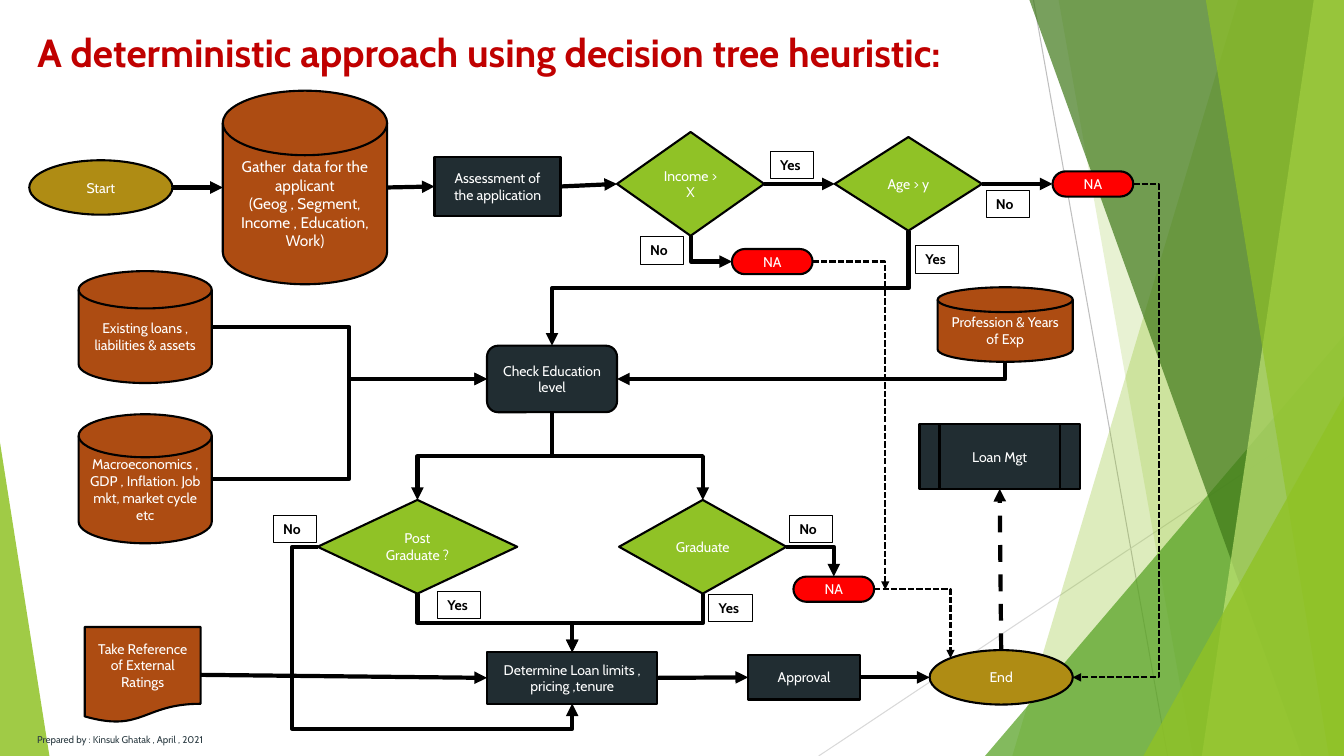
from lxml.etree import SubElement
from pptx import Presentation
from pptx.dml.color import RGBColor
from pptx.enum.dml import MSO_LINE
from pptx.enum.shapes import MSO_CONNECTOR, MSO_SHAPE
from pptx.enum.text import MSO_ANCHOR, MSO_AUTO_SIZE, PP_ALIGN
from pptx.oxml.ns import qn
from pptx.util import Inches, Pt

FONT = "Cabin"
BLACK = RGBColor(0x00, 0x00, 0x00)
WHITE = RGBColor(0xFF, 0xFF, 0xFF)
RED = RGBColor(0xFF, 0x00, 0x00)
CRIMSON = RGBColor(0xC0, 0x00, 0x00)
GOLD = RGBColor(0xAF, 0x8C, 0x14)
RUST = RGBColor(0xAD, 0x4C, 0x12)
SLATE = RGBColor(0x21, 0x2D, 0x32)
FOOTER = RGBColor(0x2C, 0x3C, 0x43)
GREEN = RGBColor(0x90, 0xC2, 0x26)
LEAF = RGBColor(0x54, 0xA0, 0x21)
FOREST = RGBColor(0x3F, 0x78, 0x19)
LIME = RGBColor(0xC0, 0xE4, 0x74)
GREY = RGBColor(0xBF, 0xBF, 0xBF)
PALE_GREY = RGBColor(0xD9, 0xD9, 0xD9)

# Connection site numbers by side: top, left, bottom, right, top left
SITES = {"t": 0, "l": 1, "b": 2, "r": 3}
DISK_SITES = {"t": 1, "l": 2, "b": 3, "r": 4}
ELLIPSE_SITES = {"t": 0, "tl": 1, "l": 2, "b": 4, "r": 6}
# Position of each side as a share of width and height
ANCHORS = {"t": (0.5, 0), "l": (0, 0.5), "b": (0.5, 1), "r": (1, 0.5), "tl": (0.146, 0.146)}


def set_text(shape, lines, size, color, bold=False, align=None):
    tf = shape.text_frame
    tf.word_wrap = True
    tf.text = lines
    for p in tf.paragraphs:
        p.alignment = align
        p.font.name = FONT
        p.font.size = Pt(size)
        p.font.bold = bold
        p.font.color.rgb = color
    return tf


def tint(shape, color, percent):
    shape.shadow.inherit = False
    shape.line.fill.background()
    shape.fill.solid()
    shape.fill.fore_color.rgb = color
    clr = shape._element.spPr.find(".//" + qn("a:srgbClr"))
    SubElement(clr, qn("a:alpha"), val=str(percent * 1000))


def add_facet(s, points, color, percent):
    first, *rest = [(Inches(x), Inches(y)) for x, y in points]
    builder = s.shapes.build_freeform(*first)
    builder.add_line_segments(rest, close=True)
    tint(builder.convert_to_shape(), color, percent)


def add_triangle(s, box, apex, color, percent):
    shape = s.shapes.add_shape(MSO_SHAPE.ISOSCELES_TRIANGLE, *map(Inches, box))
    shape.adjustments[0] = apex
    tint(shape, color, percent)


def add_line(s, begin, end, color, width, kind=MSO_CONNECTOR.STRAIGHT):
    line = s.shapes.add_connector(kind, *map(int, begin + end))
    line.line.color.rgb = color
    line.line.width = Pt(width)
    SubElement(line._element.spPr, qn("a:effectLst"))
    return line


def add_node(s, kind, box, text, fill, size=10):
    shape = s.shapes.add_shape(kind, *map(Inches, box))
    shape.shadow.inherit = False
    shape.fill.solid()
    shape.fill.fore_color.rgb = fill
    shape.line.color.rgb = BLACK
    shape.line.width = Pt(1.5)
    tf = set_text(shape, text, size, WHITE, align=PP_ALIGN.CENTER)
    tf.vertical_anchor = MSO_ANCHOR.MIDDLE
    return shape


def add_label(s, left, top, text):
    box = s.shapes.add_textbox(Inches(left), Inches(top), Inches(0.43), Inches(0.27))
    box.line.color.rgb = BLACK
    box.line.width = Pt(0.75)
    set_text(box, text, 10, BLACK, bold=True)


def side_point(shape, side):
    fx, fy = ANCHORS[side]
    return shape.left + fx * shape.width, shape.top + fy * shape.height


def glue(link, tag, shape, side):
    kind = shape.auto_shape_type
    sites = {MSO_SHAPE.FLOWCHART_MAGNETIC_DISK: DISK_SITES, MSO_SHAPE.OVAL: ELLIPSE_SITES}.get(kind, SITES)
    SubElement(link._element.nvCxnSpPr.cNvCxnSpPr, qn(tag), id=str(shape.shape_id), idx=str(sites[side]))


def add_link(s, source, side, target, target_side=None, bends=0, adj=(), width=3, dash=None):
    """Arrow between two nodes, or to a point when target_side is None."""
    begin = side_point(source, side)
    end = side_point(target, target_side) if target_side else target
    rotation = 0
    if bends and side == "b":
        # Elbows leaving downwards are horizontal elbows turned a quarter
        (x1, y1), (x2, y2) = begin, end
        cx, cy, dx, dy = (x1 + x2) / 2, (y1 + y2) / 2, x2 - x1, y2 - y1
        turn = 1 if dx < 0 else -1
        begin = cx - turn * dy / 2, cy + turn * dx / 2
        end = cx + turn * dy / 2, cy - turn * dx / 2
        rotation = 90 if turn == 1 else 270
    link = add_line(s, begin, end, BLACK, width, MSO_CONNECTOR.ELBOW if bends else MSO_CONNECTOR.STRAIGHT)
    spPr = link._element.spPr
    if rotation:
        spPr.find(qn("a:xfrm")).set("rot", str(rotation * 60000))
    if bends:
        geom = spPr.find(qn("a:prstGeom"))
        geom.set("prst", f"bentConnector{bends}")
        for i, value in enumerate(adj, 1):
            SubElement(geom.find(qn("a:avLst")), qn("a:gd"), name=f"adj{i}", fmla=f"val {int(value * 100000)}")
    if dash:
        link.line.dash_style = dash
    SubElement(spPr.find(qn("a:ln")), qn("a:tailEnd"), type="triangle")
    glue(link, "a:stCxn", source, side)
    if target_side:
        glue(link, "a:endCxn", target, target_side)


def add_backdrop(s):
    for x1, y1, x2, y2, color in [(10.25, 0, 11.58, 7.5, GREY), (13.33, 4.03, 8.12, 7.5, PALE_GREY)]:
        add_line(s, (Inches(x1), Inches(y1)), (Inches(x2), Inches(y2)), color, 0.75)
    facets = [(12.28, 10.04, GREEN, 30), (10.5, 11.83, GREEN, 20), (10.21, 12.91, FOREST, 70),
              (13.03, 11.92, LIME, 70), (11.96, 13.18, GREEN, 65)]
    for i, (top, bottom, color, percent) in enumerate(facets):
        if i == 2:
            add_triangle(s, (9.77, 3.33, 3.56, 4.17), 1, LEAF, 72)
        add_facet(s, [(top, 0), (13.33, 0), (13.33, 7.5), (bottom, 7.5)], color, percent)
    add_triangle(s, (11.34, 3.93, 1.99, 3.57), 1, GREEN, 80)
    add_triangle(s, (0, 4.39, 0.49, 3.11), 0, GREEN, 85)


def main():
    prs = Presentation()
    prs.slide_width, prs.slide_height = Inches(13.33), Inches(7.5)
    s = prs.slides.add_slide(prs.slide_layouts[5])
    add_backdrop(s)

    # Title
    title = s.shapes.title
    title.left, title.top, title.width, title.height = map(Inches, (0.27, 0.23, 11.5, 0.45))
    tf = set_text(title, "A deterministic approach using decision tree heuristic:", 28, CRIMSON, True, PP_ALIGN.LEFT)
    tf.vertical_anchor = MSO_ANCHOR.TOP
    tf.auto_size = MSO_AUTO_SIZE.NONE

    # Nodes
    m = MSO_SHAPE
    disk, diamond, pill = m.FLOWCHART_MAGNETIC_DISK, m.FLOWCHART_DECISION, m.FLOWCHART_TERMINATOR
    start = add_node(s, m.OVAL, (0.29, 1.59, 1.42, 0.54), "Start", GOLD)
    end = add_node(s, m.OVAL, (9.22, 6.45, 1.42, 0.54), "End", GOLD)
    gather = add_node(s, disk, (2.21, 0.9, 1.63, 1.92),
                      "Gather  data for the applicant\n(Geog , Segment, Income , Education, Work)", RUST, 11)
    loans = add_node(s, disk, (0.78, 2.69, 1.32, 1.11), "Existing loans , liabilities & assets", RUST)
    macro = add_node(s, disk, (0.78, 4.11, 1.32, 1.28),
                     "Macroeconomics , GDP , Inflation. Job mkt, market cycle etc", RUST)
    profession = add_node(s, disk, (9.3, 2.85, 1.34, 0.74), "Profession & Years of Exp", RUST)
    reference = add_node(s, m.FLOWCHART_DOCUMENT, (0.84, 6.22, 1.15, 0.95),
                         "Take Reference of External Ratings", RUST)
    income = add_node(s, diamond, (6.12, 1.31, 1.46, 1.03), "Income > X", GREEN)
    age = add_node(s, diamond, (8.28, 1.36, 1.46, 0.93), "Age > y", GREEN)
    graduate = add_node(s, diamond, (6.14, 4.96, 1.66, 0.93), "Graduate", GREEN)
    post = add_node(s, diamond, (3.15, 4.96, 1.98, 0.93), "Post Graduate ?", GREEN)
    assess = add_node(s, m.RECTANGLE, (4.31, 1.56, 1.25, 0.58), "Assessment of the application", SLATE)
    check = add_node(s, m.ROUNDED_RECTANGLE, (4.83, 3.43, 1.29, 0.66), "Check Education level", SLATE)
    limits = add_node(s, m.FLOWCHART_PROCESS, (4.83, 6.47, 1.69, 0.51),
                      "Determine Loan limits , pricing ,tenure", SLATE)
    approval = add_node(s, m.FLOWCHART_PROCESS, (7.42, 6.5, 1.11, 0.44), "Approval", SLATE)
    mgt = add_node(s, m.FLOWCHART_PREDEFINED_PROCESS, (9.12, 4.21, 1.59, 0.64), "Loan Mgt", SLATE)
    na_income, na_age, na_graduate = [
        add_node(s, pill, (x, y, 0.8, 0.25), "NA", RED) for x, y in [(7.26, 2.47), (10.44, 1.7), (7.87, 5.72)]]

    # Straight arrows
    for source, target in [(start, gather), (gather, assess), (assess, income), (income, age), (age, na_age),
                           (reference, limits), (limits, approval), (approval, end)]:
        add_link(s, source, "r", target, "l")
    add_link(s, end, "t", mgt, "b", dash=MSO_LINE.DASH)

    # Elbow arrows
    for source, side, target, target_side, bends in [
            (income, "b", na_income, "l", 2), (age, "b", check, "t", 3), (profession, "b", check, "r", 2),
            (loans, "r", check, "l", 3), (macro, "r", check, "l", 3), (check, "b", post, "t", 3),
            (check, "b", graduate, "t", 3), (post, "b", limits, "t", 3), (graduate, "b", limits, "t", 3),
            (graduate, "r", na_graduate, "t", 2)]:
        add_link(s, source, side, target, target_side, bends)
    add_link(s, post, "l", limits, "b", 4, (-0.1, 1.16))

    # Dashed exits of rejected applications
    dashed = {"width": 1.5, "dash": MSO_LINE.SQUARE_DOT}
    add_link(s, na_age, "r", end, "r", 3, (-0.42,), **dashed)
    add_link(s, na_graduate, "r", end, "tl", 2, **dashed)
    add_link(s, na_income, "r", (Inches(8.78), Inches(5.85)), None, 2, **dashed)

    # Branch labels
    for text, spots in {"Yes": [(7.64, 1.5), (9.08, 2.44), (7.03, 5.9), (4.34, 5.87)],
                        "No": [(6.35, 2.35), (9.78, 1.89), (7.83, 5.11), (2.71, 5.11)]}.items():
        for left, top in spots:
            add_label(s, left, top, text)

    # Credit line
    credit = s.shapes.add_textbox(Inches(0.27), Inches(7.23), Inches(2.34), Inches(0.22))
    set_text(credit, "Prepared by : Kinsuk Ghatak , April , 2021", 7, FOOTER)
    prs.save("out.pptx")


if __name__ == "__main__":
    main()
